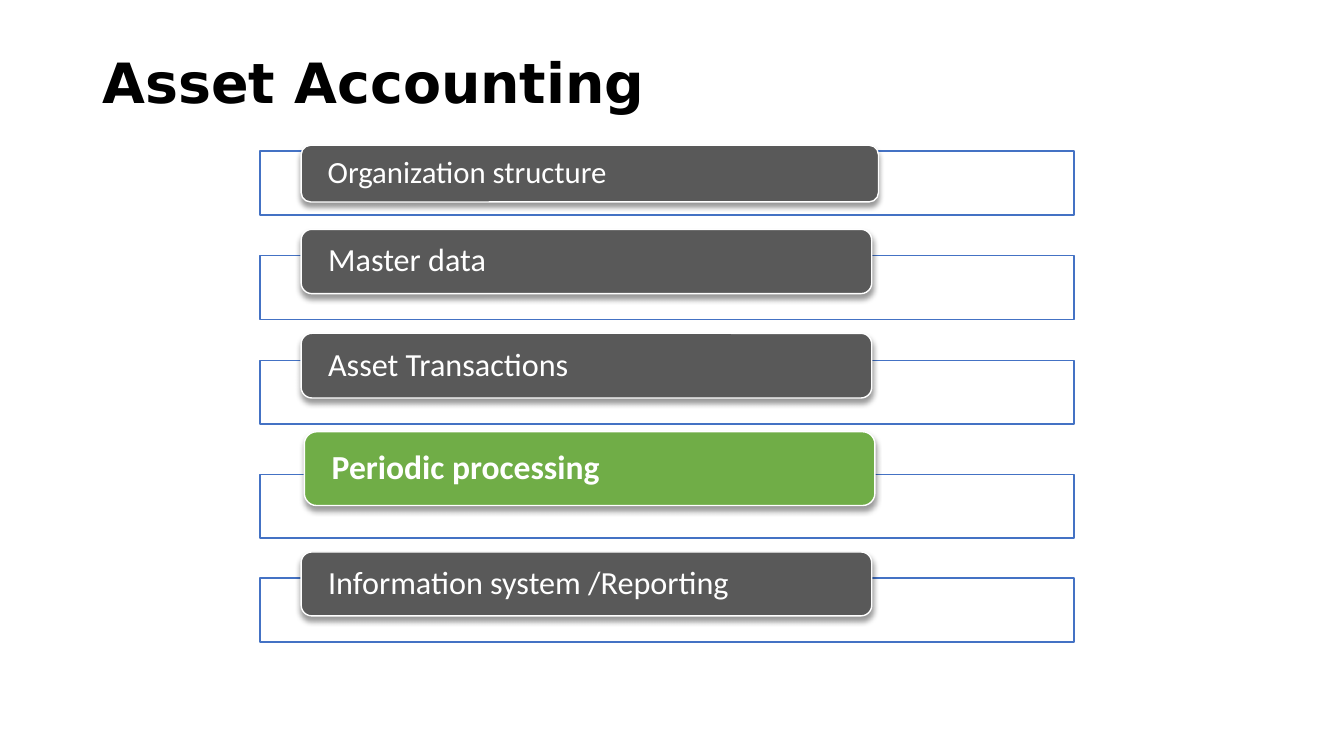
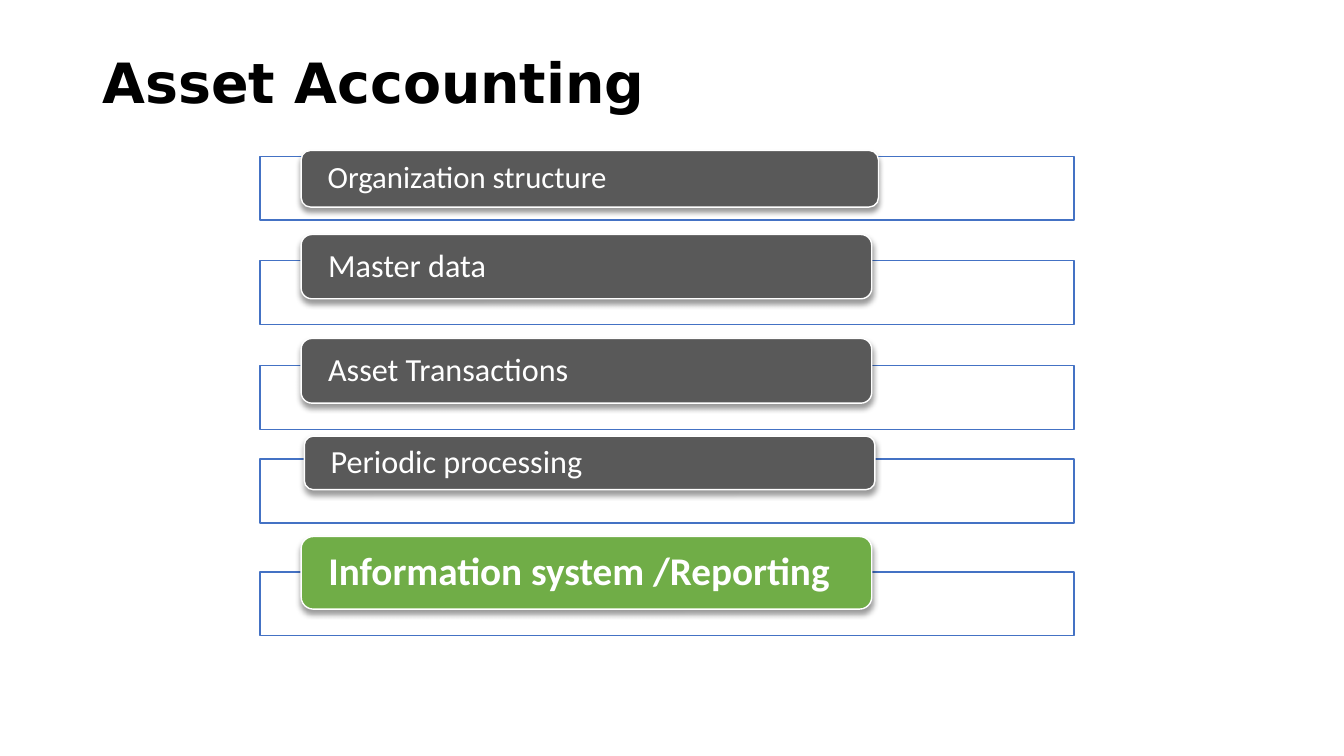
import lxml.etree
import pptx
import pptx.dml.color
import pptx.enum.shapes
import pptx.enum.text
import pptx.oxml.ns
import pptx.util

Cm = pptx.util.Cm
Pt = pptx.util.Pt
SHAPE = pptx.enum.shapes.MSO_SHAPE
MIDDLE = pptx.enum.text.MSO_ANCHOR.MIDDLE
LEFT = pptx.enum.text.PP_ALIGN.LEFT

WHITE, BLACK, GREY = "FFFFFF", "000000", "595959"
GREEN, BLUE = "70AD47", "4472C4"
BODY, HEAD = "Calibri", "DejaVu Sans"

FRAME_LEFT, FRAME_WIDTH, FRAME_HEIGHT = 6.55, 20.52, 1.61
TUCK = 0.6

STEPS = [
    ("Organization structure", 7.59, 14.55),
    ("Master data", 7.59, 14.38),
    ("Asset Transactions", 7.59, 14.38),
    ("Periodic processing", 7.67, 14.38),
    ("Information system /Reporting", 7.59, 14.38),
]

PAGES = [
    {
        "top": 3.81,
        "active": 3,
        "heights": [1.43, 1.62, 1.63, 1.86, 1.61],
        "rises": [0.15, 0.66, 0.68, 1.07, 0.66],
        "sizes": [22, 23, 23, 24, 23],
    },
    {
        "top": 3.94,
        "active": 4,
        "heights": [1.43, 1.62, 1.63, 1.35, 1.83],
        "rises": [0.15, 0.66, 0.68, 0.58, 0.89],
        "sizes": [22, 23, 23, 23, 28],
    },
]


def paint(target, color):
    target.rgb = pptx.dml.color.RGBColor.from_string(color)


def write(frame, text, face, size, color, bold):
    frame.word_wrap = True
    frame.vertical_anchor = MIDDLE
    frame.text = text
    line = frame.paragraphs[0]
    line.alignment = LEFT
    line.line_spacing = 0.9
    font = line.runs[0].font
    font.name = face
    font.size = Pt(size)
    font.bold = bold
    paint(font.color, color)


def add_block(slide, kind, left, top, width, height, fill, edge):
    block = slide.shapes.add_shape(kind, Cm(left), Cm(top), Cm(width), Cm(height))
    block.shadow.inherit = False
    block.fill.solid()
    paint(block.fill.fore_color, fill)
    paint(block.line.color, edge)
    block.line.width = Pt(1)
    return block


def add_shadow(block):
    qn = pptx.oxml.ns.qn
    effects = block._element.spPr.find(qn("a:effectLst"))
    shadow = lxml.etree.SubElement(
        effects, qn("a:outerShdw"),
        blurRad=str(Pt(4)), dist=str(Pt(3)), dir="5400000", rotWithShape="0",
    )
    tint = lxml.etree.SubElement(shadow, qn("a:srgbClr"), val=BLACK)
    lxml.etree.SubElement(tint, qn("a:alpha"), val="40000")


def add_title(slide, text):
    box = slide.shapes.add_textbox(Cm(2.33), Cm(1.08), Cm(29.21), Cm(2.16))
    write(box.text_frame, text, HEAD, 39.6, BLACK, True)


def add_pill(slide, text, left, top, width, height, size, active):
    fill = GREEN if active else GREY
    pill = add_block(slide, SHAPE.ROUNDED_RECTANGLE, left, top, width, height, fill, WHITE)
    add_shadow(pill)
    frame = pill.text_frame
    frame.margin_left = frame.margin_right = Cm(0.6)
    frame.margin_top = frame.margin_bottom = 0
    write(frame, text, BODY, size, WHITE, active)


def add_steps(slide, page):
    top = page["top"]
    rows = zip(STEPS, page["heights"], page["rises"], page["sizes"])
    for index, ((text, left, width), height, rise, size) in enumerate(rows):
        if index:
            top += FRAME_HEIGHT + height - TUCK
        add_block(slide, SHAPE.RECTANGLE, FRAME_LEFT, top, FRAME_WIDTH, FRAME_HEIGHT, WHITE, BLUE)
        add_pill(slide, text, left, top - rise, width, height, size, index == page["active"])


def main():
    deck = pptx.Presentation()
    deck.slide_width = Cm(33.87)
    deck.slide_height = Cm(19.05)
    for page in PAGES:
        slide = deck.slides.add_slide(deck.slide_layouts[6])
        add_title(slide, "Asset Accounting")
        add_steps(slide, page)
    deck.save("out.pptx")


if __name__ == "__main__":
    main()
